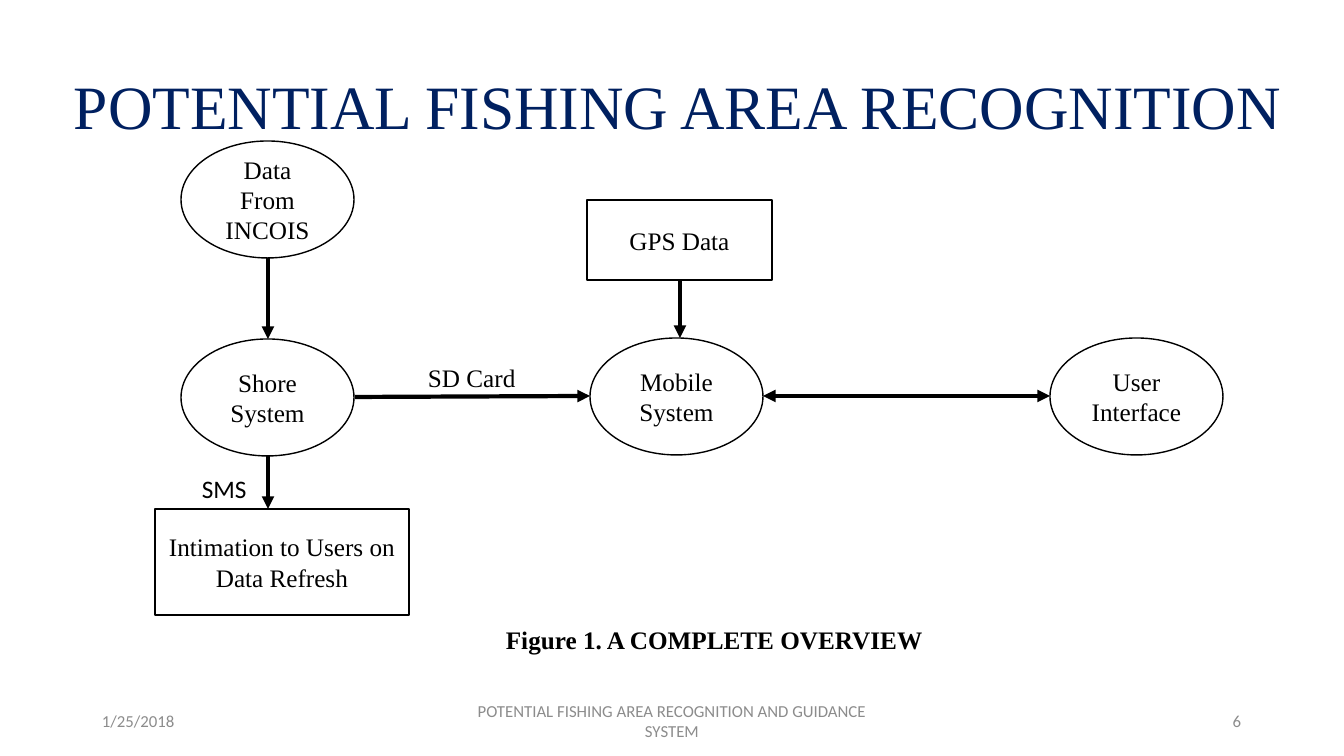
from dataclasses import dataclass

from lxml import etree
from pptx import Presentation
from pptx import util as u
from pptx.dml.color import RGBColor
from pptx.enum import shapes, text
from pptx.oxml import ns

PX = u.Inches(1) / 100.8  # EMU per pixel
OVAL, RECT = shapes.MSO_SHAPE.OVAL, shapes.MSO_SHAPE.RECTANGLE
LEFT, CENTER, RIGHT = text.PP_ALIGN.LEFT, text.PP_ALIGN.CENTER, text.PP_ALIGN.RIGHT
TOP, MIDDLE = text.MSO_ANCHOR.TOP, text.MSO_ANCHOR.MIDDLE


@dataclass(frozen=True)
class Theme:
    serif: str = "Times New Roman"
    sans: str = "Calibri"
    ink: str = "000000"
    paper: str = "FFFFFF"
    navy: str = "002060"
    grey: str = "8C8C8C"
    title: int = 44
    body: int = 18
    footer: int = 12
    outline: int = 1
    arrow: int = 3


T = Theme()


@dataclass(frozen=True)
class Style:
    size: int = T.body
    font: str = T.serif
    color: str = T.ink
    bold: bool = False
    align: text.PP_ALIGN = LEFT
    anchor: text.MSO_ANCHOR = TOP
    wrap: bool = False
    spacing: float = 1.0


@dataclass(frozen=True)
class Label:
    words: str
    x: int
    y: int
    w: int
    h: int
    style: Style


@dataclass(frozen=True)
class Node:
    words: str
    x: int
    y: int
    w: int = 173
    h: int = 117
    kind: shapes.MSO_SHAPE = OVAL


@dataclass(frozen=True)
class Arrow:
    x1: int
    y1: int
    x2: int
    y2: int
    both: bool = False


def emu(*pixels: int) -> list[int]:
    return [round(v * PX) for v in pixels]


def write(sp, words: str, style: Style) -> None:
    tf = sp.text_frame
    tf.text = words
    tf.word_wrap = style.wrap
    tf.vertical_anchor = style.anchor
    p = tf.paragraphs[0]
    p.alignment = style.align
    p.line_spacing = style.spacing
    r = p.runs[0]
    r.font.name, r.font.size, r.font.bold = style.font, u.Pt(style.size), style.bold
    r.font.color.rgb = RGBColor.from_string(style.color)


def draw_label(s, label: Label) -> None:
    sp = s.shapes.add_textbox(*emu(label.x, label.y, label.w, label.h))
    write(sp, label.words, label.style)


def draw_node(s, node: Node) -> None:
    sp = s.shapes.add_shape(node.kind, *emu(node.x, node.y, node.w, node.h))
    sp.shadow.inherit = False
    sp.fill.solid()
    sp.fill.fore_color.rgb = RGBColor.from_string(T.paper)
    sp.line.color.rgb = RGBColor.from_string(T.ink)
    sp.line.width = u.Pt(T.outline)
    write(sp, node.words, Style(align=CENTER, anchor=MIDDLE, wrap=True))


def draw_arrow(s, arrow: Arrow) -> None:
    ends = emu(arrow.x1, arrow.y1, arrow.x2, arrow.y2)
    sp = s.shapes.add_connector(shapes.MSO_CONNECTOR.STRAIGHT, *ends)
    sp.line.color.rgb = RGBColor.from_string(T.ink)
    sp.line.width = u.Pt(T.arrow)
    ln = sp.line._get_or_add_ln()
    for tag in ("a:headEnd", "a:tailEnd") if arrow.both else ("a:tailEnd",):
        etree.SubElement(ln, ns.qn(tag), type="triangle")
    etree.SubElement(sp._element.spPr, ns.qn("a:effectLst"))


def footer(align: text.PP_ALIGN) -> Style:
    return Style(T.footer, T.sans, T.grey, align=align, anchor=MIDDLE, wrap=True)


TITLE = Style(T.title, color=T.navy, align=text.PP_ALIGN.JUSTIFY, anchor=MIDDLE,
              wrap=True, spacing=0.9)

LABELS = [
    Label("POTENTIAL FISHING AREA RECOGNITION", 64, 37, 1252, 146, TITLE),
    Label("1/25/2018", 92, 701, 302, 40, footer(LEFT)),
    Label("POTENTIAL FISHING AREA RECOGNITION AND GUIDANCE SYSTEM",
          445, 701, 454, 40, footer(CENTER)),
    Label("6", 949, 701, 302, 40, footer(RIGHT)),
    Label("Figure 1. A COMPLETE OVERVIEW", 496, 619, 440, 40, Style(bold=True)),
    Label("SMS", 192, 468, 66, 40, Style(font=T.sans)),
    Label("SD Card", 418, 357, 109, 40, Style()),
]

NODES = [
    Node("Data From INCOIS", 181, 141),
    Node("Shore System", 181, 339),
    Node("Intimation to Users on Data Refresh", 155, 509, 254, 106, RECT),
    Node("Mobile System", 590, 338),
    Node("User Interface", 1050, 338),
    Node("GPS Data", 587, 200, 185, 80, RECT),
]

ARROWS = [
    Arrow(268, 258, 268, 339),
    Arrow(268, 456, 268, 509),
    Arrow(680, 280, 680, 338),
    Arrow(355, 397, 590, 396),
    Arrow(763, 396, 1050, 396, both=True),
]

prs = Presentation()
prs.slide_width, prs.slide_height = emu(1344, 756)
s = prs.slides.add_slide(prs.slide_layouts[6])

# Flow diagram
for node in NODES:
    draw_node(s, node)
for arrow in ARROWS:
    draw_arrow(s, arrow)

# Title, footer, caption and arrow labels
for label in LABELS:
    draw_label(s, label)

prs.save("out.pptx")
